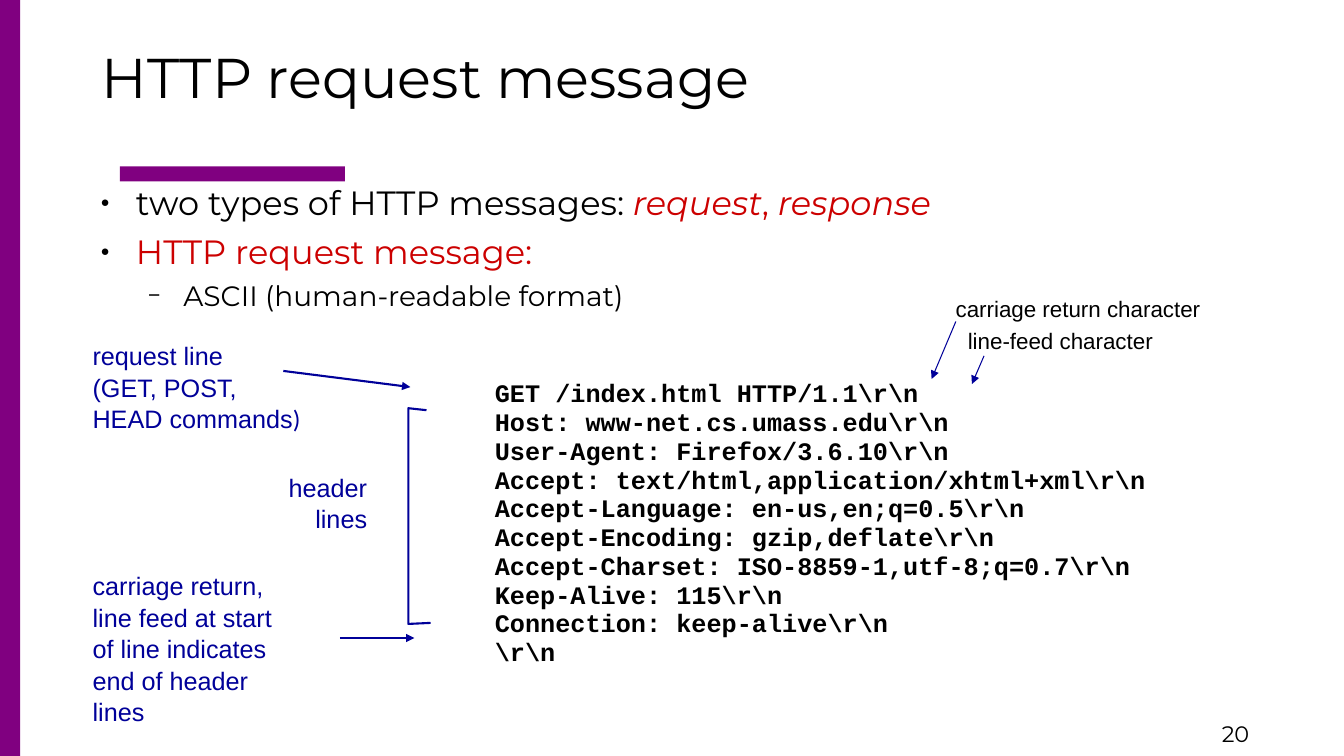
import pptx
import pptx.util
import pptx.dml.color
import pptx.enum.shapes
import pptx.enum.text
import pptx.oxml.ns
from lxml import etree

Inches = pptx.util.Inches
Pt = pptx.util.Pt
qn = pptx.oxml.ns.qn
RGB = pptx.dml.color.RGBColor.from_string
ALIGN = pptx.enum.text.PP_ALIGN
COLORS = {"purple": "800080", "black": "000000", "red": "CC0000", "blue": "000099"}


def write(paragraph, text, size=18, font="Arial", color="black", bold=False, italic=False):
    run = paragraph.add_run()
    run.text = text
    run.font.size = Pt(size)
    run.font.name = font
    run.font.color.rgb = RGB(COLORS[color])
    run.font.bold = bold
    run.font.italic = italic


def add_lines(place, lines, align=ALIGN.LEFT, spacing=None, wrap=True, **text_format):
    frame = slide.shapes.add_textbox(*map(Inches, place)).text_frame
    frame.word_wrap = wrap
    for index, line in enumerate(lines):
        paragraph = frame.paragraphs[0] if index == 0 else frame.add_paragraph()
        paragraph.alignment = align
        paragraph.line_spacing = spacing
        write(paragraph, line, **text_format)
    return frame


deck = pptx.Presentation()
deck.slide_width = Inches(13.33)
deck.slide_height = Inches(7.5)
slide = deck.slides.add_slide(deck.slide_layouts[5])

for place in [(1.19, 1.65, 2.23, 0.15), (0, 0, 0.2, 7.5)]:
    bar = slide.shapes.add_shape(
        pptx.enum.shapes.MSO_SHAPE.RECTANGLE, *map(Inches, place))
    bar.shadow.inherit = False
    bar.fill.solid()
    bar.fill.fore_color.rgb = RGB(COLORS["purple"])
    bar.line.fill.background()

title = slide.shapes.title
title.left, title.top, title.width, title.height = map(Inches, (0.7, 0.26, 11.33, 1))
title.text_frame.vertical_anchor = pptx.enum.text.MSO_ANCHOR.MIDDLE
title.text_frame.margin_left = Inches(0.07)
heading = title.text_frame.paragraphs[0]
heading.alignment = ALIGN.LEFT
heading._p.get_or_add_pPr().set("marL", str(Inches(0.24)))
write(heading, "HTTP request message", size=40, font="Montserrat")

points = [
    (0, 24, [("two types of HTTP messages: ", "black", False), ("request", "red", True),
             (", ", "red", False), ("response", "red", True)]),
    (0, 24, [("HTTP request message:", "red", False)]),
    (1, 20, [("ASCII (human-readable format)", "black", False)]),
]
levels = [(0.47, "●", 45, 6), (0.94, "−", 75, 5)]
body = slide.shapes.add_textbox(*map(Inches, (0.78, 1.76, 11.33, 5.08))).text_frame
body.word_wrap = True
for index, (level, size, pieces) in enumerate(points):
    margin, symbol, percent, gap = levels[level]
    point = body.paragraphs[0] if index == 0 else body.add_paragraph()
    point.level = level
    if index:
        point.space_before = Pt(gap)
    properties = point._p.get_or_add_pPr()
    properties.set("marL", str(Inches(margin)))
    properties.set("indent", str(Inches(-0.35)))
    bullet_color = etree.SubElement(properties, qn("a:buClr"))
    etree.SubElement(bullet_color, qn("a:srgbClr"), val=COLORS["black"])
    etree.SubElement(properties, qn("a:buSzPct"), val=str(percent * 1000))
    etree.SubElement(properties, qn("a:buFont"), typeface="Arial")
    etree.SubElement(properties, qn("a:buChar"), char=symbol)
    for text, color, italic in pieces:
        write(point, text, size=size, font="Montserrat", color=color, italic=italic)

request_note = add_lines(
    (0.82, 3.32, 2.33, 1), ["request line", "(GET, POST,", "HEAD commands"],
    spacing=1.04, color="blue")
write(request_note.paragraphs[-1], ")", font="Calibri", color="blue")
add_lines((2.76, 4.62, 0.98, 0.7), ["header", "lines"],
          align=ALIGN.RIGHT, spacing=1.04, wrap=False, color="blue")
add_lines((0.82, 5.6, 2.32, 1.3),
          ["carriage return,", "line feed at start", "of line indicates", "end of header lines"],
          spacing=1.04, color="blue")

request_message = r"""GET /index.html HTTP/1.1\r\n
Host: www-net.cs.umass.edu\r\n
User-Agent: Firefox/3.6.10\r\n
Accept: text/html,application/xhtml+xml\r\n
Accept-Language: en-us,en;q=0.5\r\n
Accept-Encoding: gzip,deflate\r\n
Accept-Charset: ISO-8859-1,utf-8;q=0.7\r\n
Keep-Alive: 115\r\n
Connection: keep-alive\r\n
\r\n"""
add_lines((4.81, 3.72, 7.4, 2.8), request_message.split("\n"),
          spacing=0.95, font="Courier New", bold=True)

add_lines((9.38, 2.88, 3.37, 0.37), ["carriage return character"], size=16)
add_lines((9.5, 3.2, 2.78, 0.37), ["line-feed character"], size=16)
add_lines((12.02, 7.1, 1.3, 0.4), ["20"], size=16, font="Montserrat")

outline = slide.shapes.build_freeform(Inches(4.23), Inches(4.07))
outline.add_line_segments(
    [(Inches(x), Inches(y)) for x, y in [(4.05, 4.05), (4.05, 6.19), (4.27, 6.18)]],
    close=False)
header_bracket = outline.convert_to_shape()
header_bracket.shadow.inherit = False
header_bracket.fill.background()
header_bracket.line.color.rgb = RGB(COLORS["blue"])
header_bracket.line.width = Pt(1.5)

pointers = [
    ((2.81, 3.68, 4.07, 3.84), 1.5),
    ((3.37, 6.33, 4.11, 6.33), 1.5),
    ((9.48, 3.19, 9.24, 3.76), 0.75),
    ((9.76, 3.53, 9.64, 3.81), 0.75),
]
for ends, width in pointers:
    pointer = slide.shapes.add_connector(
        pptx.enum.shapes.MSO_CONNECTOR.STRAIGHT, *map(Inches, ends))
    pointer.line.color.rgb = RGB(COLORS["blue"])
    pointer.line.width = Pt(width)
    etree.SubElement(pointer.line._get_or_add_ln(), qn("a:tailEnd"), type="triangle")
    etree.SubElement(pointer._element.spPr, qn("a:effectLst"))

deck.save("out.pptx")
